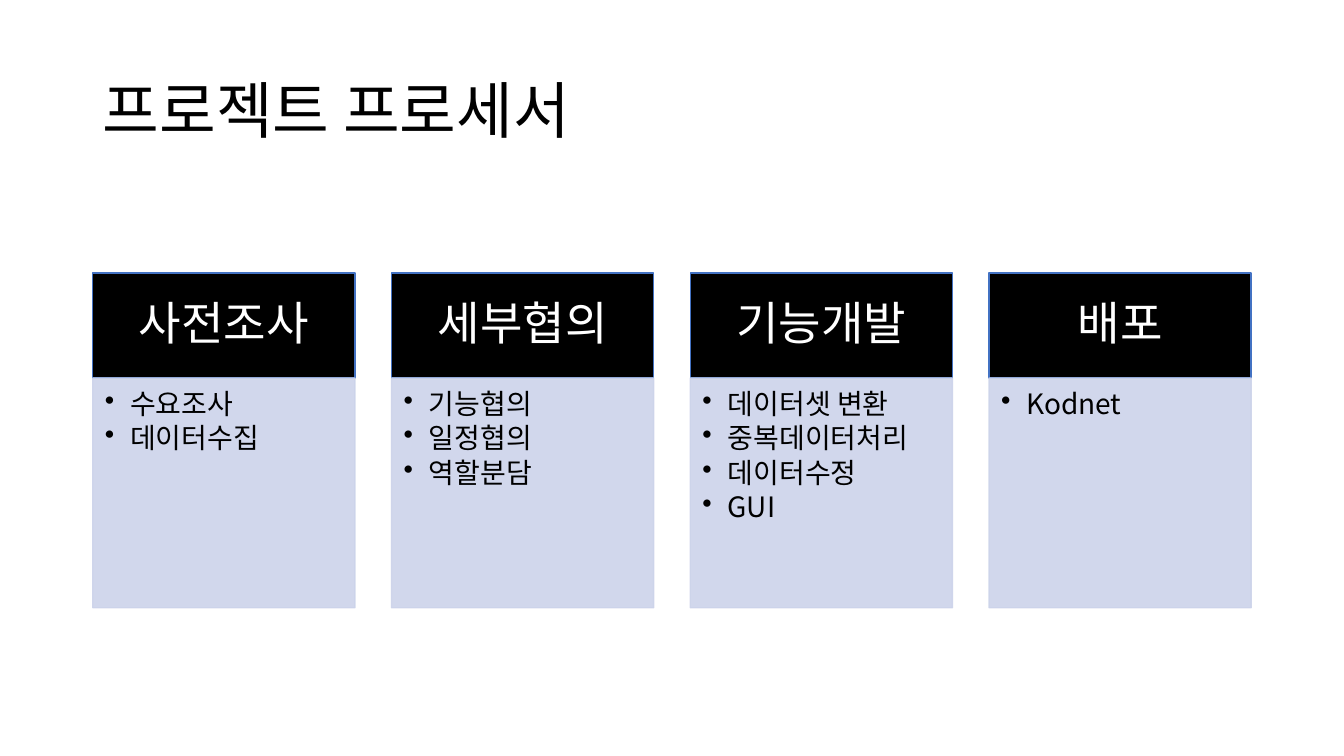
from lxml.etree import SubElement
from pptx import Presentation
from pptx.dml.color import RGBColor
from pptx.enum.shapes import MSO_SHAPE
from pptx.enum.text import MSO_ANCHOR as Anchor, PP_ALIGN as Align
from pptx.oxml.ns import qn
from pptx.util import Inches, Pt

FONT = "Noto Sans CJK KR"
BLACK = RGBColor(0x00, 0x00, 0x00)
WHITE = RGBColor(0xFF, 0xFF, 0xFF)
BLUE = RGBColor(0x43, 0x72, 0xC3)
PALE = RGBColor(0xCC, 0xD3, 0xEA)

LEFT, TOP = 0.92, 2.71
SPAN, WIDE = 11.49, 2.6
HEAD, BODY = 1.04, 2.28

steps = [
    ("사전조사", ["수요조사", "데이터수집"]),
    ("세부협의", ["기능협의", "일정협의", "역할분담"]),
    ("기능개발", ["데이터셋 변환", "중복데이터처리", "데이터수정", "GUI"]),
    ("배포", ["Kodnet"]),
]


def write(shape, lines, size, color=BLACK, align=Align.LEFT,
          anchor=Anchor.MIDDLE, pad=(0.1, 0.05, 0.1, 0.05), bullet=False):
    frame = shape.text_frame
    frame.word_wrap = True
    frame.vertical_anchor = anchor
    (frame.margin_left, frame.margin_top,
     frame.margin_right, frame.margin_bottom) = map(Inches, pad)
    for i, line in enumerate(lines):
        para = frame.add_paragraph() if i else frame.paragraphs[0]
        para.alignment = align
        para.line_spacing = 0.9
        run = para.add_run()
        run.text = line
        run.font.size = Pt(size)
        run.font.name = FONT
        run.font.color.rgb = color
        SubElement(run.font._element, qn("a:ea"), typeface=FONT)
        if bullet:
            para.space_before = Pt(3 if i else 0)
            props = para._p.get_or_add_pPr()
            props.set("marL", str(Inches(0.25)))
            props.set("indent", str(Inches(-0.25)))
            SubElement(props, qn("a:buChar"), char="•")


def block(x, y, high, fill, edge, alpha=100):
    box = slide.shapes.add_shape(MSO_SHAPE.RECTANGLE, Inches(x), Inches(y),
                                 Inches(WIDE), Inches(high))
    box.shadow.inherit = False
    box.fill.solid()
    box.fill.fore_color.rgb = fill
    box.line.color.rgb = edge
    box.line.width = Pt(1)
    if alpha < 100:
        for tint in box._element.spPr.iter(qn("a:srgbClr")):
            SubElement(tint, qn("a:alpha"), val=str(alpha * 1000))
    return box


deck = Presentation()
deck.slide_width, deck.slide_height = Inches(13.33), Inches(7.5)
slide = deck.slides.add_slide(deck.slide_layouts[6])

# Title
title = slide.shapes.add_textbox(Inches(LEFT), Inches(0.4),
                                 Inches(11.5), Inches(1.45))
write(title, ["프로젝트 프로세서"], 44)

# Process columns, spread evenly over the span
pitch = (SPAN - WIDE) / (len(steps) - 1)
for i, (name, tasks) in enumerate(steps):
    x = LEFT + i * pitch
    head = block(x, TOP, HEAD, BLACK, BLUE)
    write(head, [name], 33, WHITE, Align.CENTER, pad=(0.26, 0.15, 0.26, 0.15))
    body = block(x, TOP + HEAD, BODY, PALE, PALE, alpha=90)
    write(body, tasks, 20, anchor=Anchor.TOP,
          pad=(0.12, 0.12, 0.16, 0.17), bullet=True)

deck.save("out.pptx")
